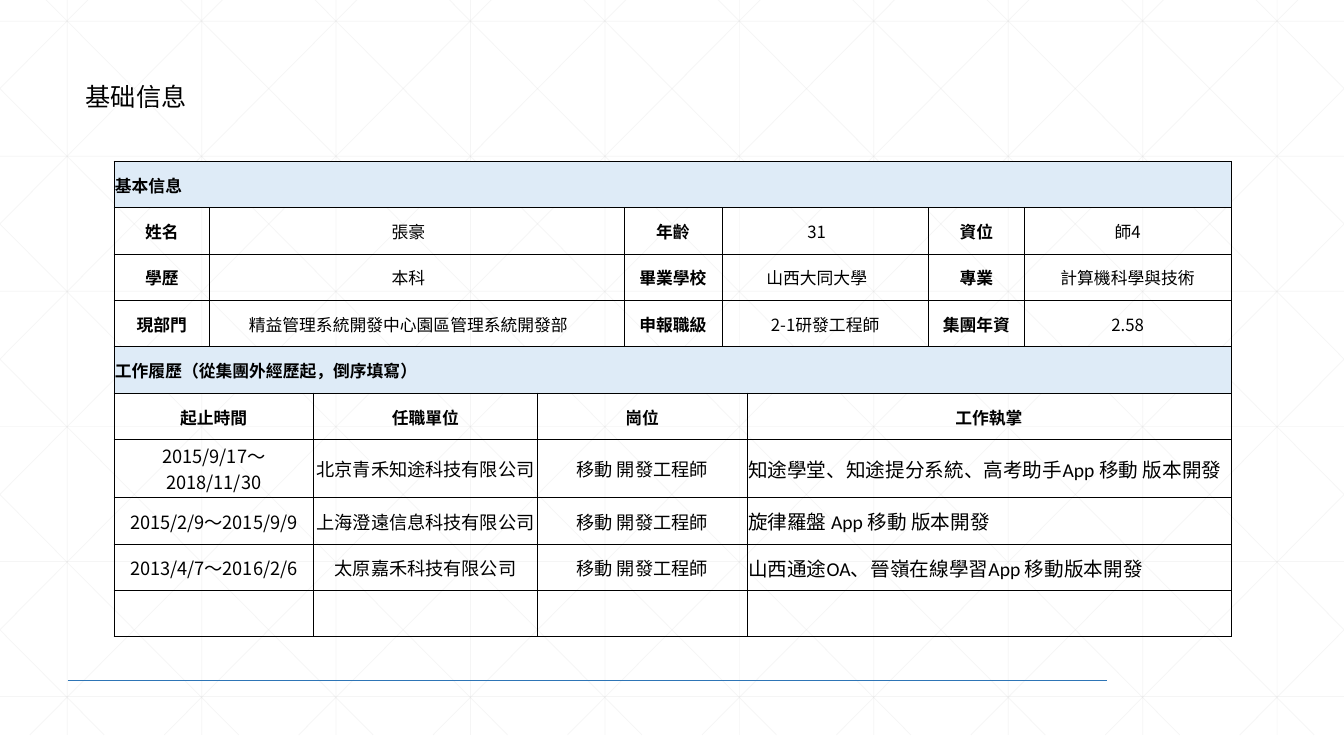
"""Build the basic information slide: personal details and work history in one table."""
from lxml import etree
from pptx import Presentation
from pptx.dml.color import RGBColor
from pptx.enum import shapes, text
from pptx.oxml import ns
from pptx.util import Inches, Pt

COLORS = {"ink": "000000", "band": "DEEBF7", "grid": "D9D9D9", "rule": "2E75B6"}
CJK, LATIN = "Noto Sans CJK SC", "Calibri"

TITLE = "基础信息"
PERSONAL = [
    ("姓名", "張豪　", "年齡", "31　", "資位", "師4"),
    ("學歷", "本科　", "畢業學校", "山西大同大學　", "專業", "計算機科學與技術"),
    ("現部門", "精益管理系統開發中心園區管理系統開發部　", "申報職級", "2-1研發工程師",
     "集團年資", "2.58"),
]
HISTORY_HEAD = ("起止時間", "任職單位", "崗位", "工作執掌")
HISTORY = [
    ("2015/9/17～2018/11/30", "北京青禾知途科技有限公司", "移動 開發工程師",
     "知途學堂、知途提分系統、高考助手App 移動 版本開發"),
    ("2015/2/9～2015/9/9", "上海澄遠信息科技有限公司", "移動 開發工程師",
     "旋律羅盤 App 移動 版本開發"),
    ("2013/4/7～2016/2/6", "太原嘉禾科技有限公司", "移動 開發工程師",
     "山西通途OA、晉嶺在線學習App 移動版本開發"),
    ("", "", "", ""),
]
COLUMNS = [0.95, 1.03, 2.22, 0.86, 0.97, 0.25, 1.8, 0.95, 2.05]
BAND_SPANS, PERSONAL_SPANS, HISTORY_SPANS = (9,), (1, 3, 1, 2, 1, 1), (2, 1, 3, 3)
ROW_HEIGHT = 0.46

WIDTH, HEIGHT = 13.33, 7.5
GRID_TOP, GRID_BOTTOM, GRID_STEP = -0.21, 7.29, 4 / 3
DIAGONAL_RUN = 7.45

HEADING = dict(size=12, bold=True)
VALUE = dict(size=12)
ENTRY = dict(size=13)
DUTY = dict(size=14, font=LATIN, align=text.PP_ALIGN.LEFT)
BAND = dict(HEADING, align=text.PP_ALIGN.LEFT)


def write(frame, words, size, bold=False, font=CJK, align=text.PP_ALIGN.CENTER):
    """Put one formatted line of text into a frame."""
    paragraph = frame.paragraphs[0]
    paragraph.alignment = align
    run = paragraph.add_run()
    run.text = words
    run.font.size, run.font.bold, run.font.name = Pt(size), bold, font
    run.font.color.rgb = RGBColor.from_string(COLORS["ink"])
    east_asian = etree.Element(ns.qn("a:ea"), typeface=CJK)
    run.font._element.find(ns.qn("a:latin")).addnext(east_asian)


def draw_line(slide, start, end, color, weight, alpha=None):
    """Draw a straight line without shadow, optionally translucent."""
    ends = [Inches(value) for value in (*start, *end)]
    line = slide.shapes.add_connector(shapes.MSO_CONNECTOR.STRAIGHT, *ends)
    line.line.color.rgb = RGBColor.from_string(COLORS[color])
    line.line.width = Pt(weight)
    properties = line._element.spPr
    if alpha:
        shade = properties.find(".//" + ns.qn("a:srgbClr"))
        etree.SubElement(shade, ns.qn("a:alpha"), val=str(alpha * 1000))
    etree.SubElement(properties, ns.qn("a:effectLst"))


def draw_background(slide):
    """Draw the faint grid with its diagonals clipped to the slide."""
    faint = dict(color="grid", weight=0.5, alpha=25)
    for column in range(10):
        x = (column + 0.5) * GRID_STEP
        draw_line(slide, (x, GRID_TOP), (x, GRID_BOTTOM), **faint)
    for row in range(6):
        y = 0.21 + 1.34 * row
        draw_line(slide, (0, y), (WIDTH, y), **faint)
    slope = (GRID_BOTTOM - GRID_TOP) / DIAGONAL_RUN
    for step in range(-5, 10):
        origin = 0.25 + GRID_STEP * step
        left, right = max(origin, 0), min(origin + DIAGONAL_RUN, WIDTH)
        top, bottom = (GRID_TOP + (x - origin) * slope for x in (left, right))
        draw_line(slide, (left, top), (right, bottom), **faint)
        draw_line(slide, (WIDTH - left, top), (WIDTH - right, bottom), **faint)


def format_cell(cell, fill=None):
    """Set a cell's fill, margins, anchor and thin black borders."""
    if fill:
        cell.fill.solid()
        cell.fill.fore_color.rgb = RGBColor.from_string(COLORS[fill])
    else:
        cell.fill.background()
    cell.margin_left = cell.margin_right = cell.margin_top = Inches(0.01)
    cell.margin_bottom = 0
    cell.vertical_anchor = text.MSO_ANCHOR.MIDDLE
    properties = cell._tc.get_or_add_tcPr()
    for position, side in enumerate(("lnL", "lnR", "lnT", "lnB")):
        border = etree.Element(ns.qn("a:" + side), w=str(Pt(0.5)))
        paint = etree.SubElement(border, ns.qn("a:solidFill"))
        etree.SubElement(paint, ns.qn("a:srgbClr"), val=COLORS["ink"])
        properties.insert(position, border)


def build_table(slide):
    """Lay out both sections of the table from their column spans."""
    personal_formats = (HEADING, VALUE) * 3
    history_formats = (ENTRY, ENTRY, ENTRY, DUTY)
    rows = [(("基本信息",), BAND_SPANS, (BAND,), "band")]
    rows += [(words, PERSONAL_SPANS, personal_formats, None) for words in PERSONAL]
    rows += [(("工作履歷（從集團外經歷起，倒序填寫）",), BAND_SPANS, (BAND,), "band")]
    rows += [(HISTORY_HEAD, HISTORY_SPANS, (HEADING,) * 4, None)]
    rows += [(words, HISTORY_SPANS, history_formats, None) for words in HISTORY]

    table = slide.shapes.add_table(
        len(rows), len(COLUMNS), Inches(1.13), Inches(1.6),
        Inches(sum(COLUMNS)), Inches(ROW_HEIGHT * len(rows))).table
    table.first_row = table.horz_banding = False
    for column, width in zip(table.columns, COLUMNS):
        column.width = Inches(width)
    for index, (words, spans, formats, fill) in enumerate(rows):
        table.rows[index].height = Inches(ROW_HEIGHT)
        for cell in table.rows[index].cells:
            format_cell(cell, fill)
        start = 0
        for label, span, style in zip(words, spans, formats):
            cell = table.cell(index, start)
            if span > 1:
                cell.merge(table.cell(index, start + span - 1))
            if label:
                write(cell.text_frame, label, **style)
            start += span


def main():
    """Assemble and save the slide."""
    deck = Presentation()
    deck.slide_width, deck.slide_height = Inches(WIDTH), Inches(HEIGHT)
    slide = deck.slides.add_slide(deck.slide_layouts[5])
    draw_background(slide)
    draw_line(slide, (0.67, 6.75), (10.98, 6.75), "rule", 1)
    build_table(slide)

    title = slide.shapes.title
    title.left, title.top = Inches(0.75), Inches(0.75)
    title.width, title.height = Inches(2.17), Inches(0.41)
    title.text_frame.vertical_anchor = text.MSO_ANCHOR.MIDDLE
    title.text_frame.auto_size = text.MSO_AUTO_SIZE.NONE
    write(title.text_frame, TITLE, size=18, align=text.PP_ALIGN.LEFT)
    deck.save("out.pptx")


if __name__ == "__main__":
    main()
